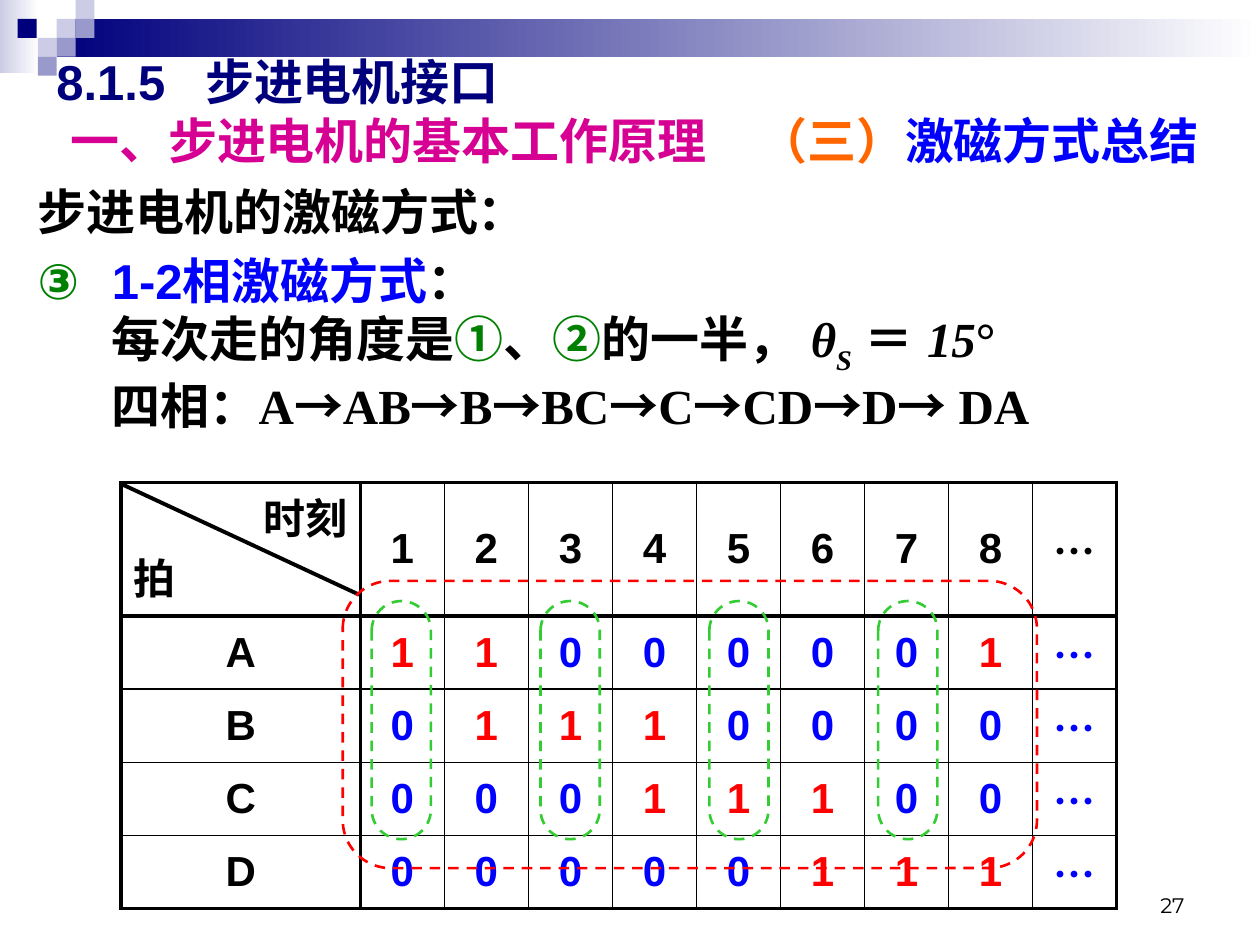
from typing import NamedTuple, Optional

from lxml import etree
from pptx import Presentation
from pptx import util as u
from pptx.dml.color import RGBColor
from pptx.enum import dml, shapes, text
from pptx.oxml import ns

Inches, Pt = u.Inches, u.Pt
NAVY, LILAC, VIOLET, WHITE = "00007D", "CCCCE6", "9999CC", "FFFFFF"
BLACK, BLUE, RED, GREEN = "000000", "0000FF", "FF0000", "008000"
MAGENTA, ORANGE, LIME = "D60093", "FF6600", "33CC33"
SANS, SERIF, CJK, EAST_ASIAN = "Arial", "Times New Roman", "Noto Sans CJK SC", "Montserrat"
ALIGN = text.PP_ALIGN


class Block(NamedTuple):
    left: float
    top: float
    width: float
    height: float
    fill: str
    fade_to: Optional[str] = None


class Frame(NamedTuple):
    left: float
    top: float
    width: float
    height: float
    rounding: float
    color: str


def rgb(color: str) -> RGBColor:
    return RGBColor.from_string(color)


def add_element(parent, tag: str, **attributes: str):
    return etree.SubElement(parent, ns.qn(tag), attributes)


def write(paragraph, content: str, *, size: float = 28, font: str = SANS,
          color: str = BLACK, bold: bool = True, italic: bool = False,
          baseline: Optional[int] = None) -> None:
    """Append formatted text; a newline becomes a line break."""
    for number, line in enumerate(content.split("\n")):
        if number:
            paragraph.add_line_break()
        if not line:
            continue
        run = paragraph.add_run()
        run.text = line
        run.font.size, run.font.name = Pt(size), font
        run.font.bold, run.font.italic = bold, italic
        run.font.color.rgb = rgb(color)
        properties = run.font._element
        east_asian = CJK if font == CJK else EAST_ASIAN
        add_element(properties, "a:ea", typeface=east_asian)
        if baseline is not None:
            properties.set("baseline", str(baseline))


def add_text_frame(slide, left: float, top: float, width: float, height: float,
                   anchor=text.MSO_ANCHOR.TOP):
    box = slide.shapes.add_textbox(Inches(left), Inches(top), Inches(width), Inches(height))
    box.text_frame.word_wrap = True
    box.text_frame.vertical_anchor = anchor
    return box.text_frame


def add_block(slide, block: Block) -> None:
    shape = slide.shapes.add_shape(
        shapes.MSO_SHAPE.RECTANGLE, *(Inches(length) for length in block[:4]))
    shape.shadow.inherit = False
    shape.line.fill.background()
    if block.fade_to:
        shape.fill.gradient()
        shape.fill.gradient_angle = 0
        for stop, color in zip(shape.fill.gradient_stops, (block.fill, block.fade_to)):
            stop.color.rgb = rgb(color)
    else:
        shape.fill.solid()
        shape.fill.fore_color.rgb = rgb(block.fill)


def add_frame(slide, frame: Frame) -> None:
    shape = slide.shapes.add_shape(
        shapes.MSO_SHAPE.ROUNDED_RECTANGLE, *(Inches(length) for length in frame[:4]))
    shape.adjustments[0] = frame.rounding
    shape.shadow.inherit = False
    shape.fill.background()
    shape.line.color.rgb = rgb(frame.color)
    shape.line.width = Pt(1.5)
    shape.line.dash_style = dml.MSO_LINE.DASH


def set_borders(cell, **widths: float) -> None:
    properties = cell._tc.get_or_add_tcPr()
    for side in "LRTB":
        line = add_element(properties, f"a:ln{side}", w=str(Pt(widths[side])))
        add_element(add_element(line, "a:solidFill"), "a:srgbClr", val=BLACK)
    cell.fill.background()


def add_phase_table(slide) -> None:
    rows = [("", "12345678"), ("A", "11000001"), ("B", "01110000"),
            ("C", "00011100"), ("D", "00000111")]
    column_widths = [1.9] + [0.667] * 9
    row_heights = [1.06] + [0.58] * 4
    last_row, last_column = len(row_heights) - 1, len(column_widths) - 1
    table = slide.shapes.add_table(
        len(row_heights), len(column_widths), Inches(0.96), Inches(3.83),
        Inches(sum(column_widths)), Inches(sum(row_heights))).table
    table.first_row = table.horz_banding = False
    for column, width in zip(table.columns, column_widths):
        column.width = Inches(width)
    for row, height in zip(table.rows, row_heights):
        row.height = Inches(height)

    for row, (label, values) in enumerate(rows):
        for column, value in enumerate([label, *values, "…"]):
            cell = table.cell(row, column)
            cell.vertical_anchor = text.MSO_ANCHOR.MIDDLE
            set_borders(cell,
                        L=2.25 if column <= 1 else 1,
                        R=2.25 if column in (0, last_column) else 1,
                        T=2.25 if row <= 1 else 1,
                        B=2.25 if row in (0, last_row) else 1)
            if row == column == 0:
                continue
            color = BLACK if row == 0 or column == 0 else RED if value == "1" else BLUE
            paragraph = cell.text_frame.paragraphs[0]
            paragraph.alignment = ALIGN.CENTER
            write(paragraph, value, size=24, color=color,
                  font=CJK if value == "…" else SANS)

    # Corner cell with both axis names
    corner = table.cell(0, 0).text_frame
    corner.paragraphs[0].alignment = ALIGN.RIGHT
    write(corner.paragraphs[0], "时刻", size=24)
    beat = corner.add_paragraph()
    beat.space_before = Pt(4.8)
    write(beat, "拍", size=24)


def add_title(slide) -> None:
    title = add_text_frame(slide, 0.35, 0.36, 9.37, 1.02).paragraphs[0]
    tabs = add_element(title._p.get_or_add_pPr(), "a:tabLst")
    for position in (1.18, 5.57):
        add_element(tabs, "a:tab", pos=str(Inches(position)), algn="l")
    write(title, "8.1.5\t步进电机接口\n ", color=NAVY)
    write(title, "一、步进电机的基本工作原理\t", color=MAGENTA)
    write(title, "（三）", color=ORANGE)
    write(title, "激磁方式总结", color=BLUE)


def add_body(slide) -> None:
    body = add_text_frame(slide, 0.2, 1.39, 9.61, 5.91)
    write(body.paragraphs[0], "步进电机的激磁方式：")

    mode = body.add_paragraph()
    mode.space_before = Pt(5.6)
    properties = mode._p.get_or_add_pPr()
    properties.set("marL", str(Inches(0.59)))
    properties.set("indent", str(Inches(-0.59)))
    add_element(add_element(properties, "a:buClr"), "a:srgbClr", val=GREEN)
    add_element(properties, "a:buAutoNum", type="circleNumDbPlain", startAt="3")
    write(mode, "1-2相激磁方式", color=BLUE)
    write(mode, "：\n每次走的角度是")
    write(mode, "①", color=GREEN)
    write(mode, "、")
    write(mode, "②", color=GREEN)
    write(mode, "的一半， ")
    write(mode, "θ", font=SERIF, italic=True)
    write(mode, "S", font=SERIF, italic=True, baseline=-25000)
    write(mode, " ＝ ", font=SERIF)
    write(mode, "15", font=SERIF, italic=True)
    write(mode, "°\n四相：", font=SERIF)
    for number, phase in enumerate(["A", "AB", "B", "BC", "C", "CD", "D", " DA"]):
        if number:
            write(mode, "→", font=CJK)
        write(mode, phase, font=SERIF)


def main() -> None:
    presentation = Presentation()
    presentation.slide_width, presentation.slide_height = Inches(10), Inches(7.5)
    slide = presentation.slides.add_slide(presentation.slide_layouts[6])

    # Top band and mosaic squares
    add_block(slide, Block(0, 0, 0.31, 0.58, LILAC, WHITE))
    add_block(slide, Block(0.45, 0.15, 9.55, 0.3, NAVY, WHITE))
    for left, top, color in [(0.45, 0.15, LILAC), (0.6, 0, LILAC), (0.6, 0.15, VIOLET),
                             (0.3, 0.3, LILAC), (0.14, 0.15, NAVY), (0.45, 0.3, VIOLET),
                             (0.3, 0.45, VIOLET)]:
        add_block(slide, Block(left, top, 0.15, 0.15, color))

    # Slide number, body and title
    number = add_text_frame(slide, 7.17, 6.83, 2.33, 0.5, text.MSO_ANCHOR.BOTTOM).paragraphs[0]
    number.alignment = ALIGN.RIGHT
    write(number, "27", size=12, font=EAST_ASIAN, bold=False)
    add_body(slide)
    add_title(slide)

    # Phase table with its corner diagonal
    add_phase_table(slide)
    diagonal = slide.shapes.add_connector(
        shapes.MSO_CONNECTOR.STRAIGHT, Inches(0.96), Inches(3.84), Inches(2.85), Inches(4.72))
    diagonal.line.color.rgb = rgb(BLACK)
    diagonal.line.width = Pt(2.25)
    add_element(diagonal._element.spPr, "a:effectLst")

    # Dashed frames: the whole cycle and every other step
    add_frame(slide, Frame(2.72, 4.61, 5.51, 2.28, 0.167, RED))
    for step in range(4):
        add_frame(slide, Frame(2.95 + 1.34 * step, 4.77, 0.47, 1.89, 0.5, LIME))

    presentation.save("out.pptx")


if __name__ == "__main__":
    main()
